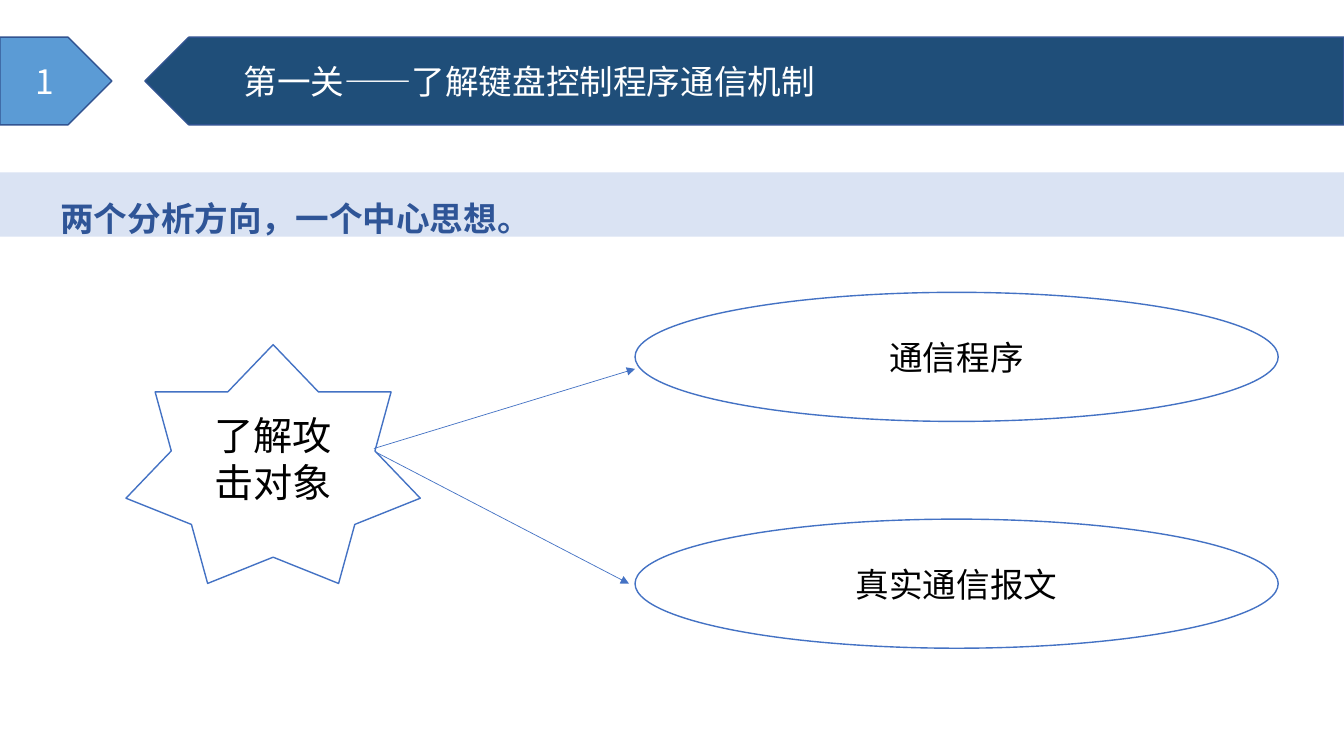
from lxml import etree
from pptx import Presentation
from pptx.dml.color import RGBColor
from pptx.enum.shapes import MSO_CONNECTOR, MSO_SHAPE
from pptx.enum.text import MSO_ANCHOR, MSO_AUTO_SIZE, PP_ALIGN
from pptx.oxml.ns import qn
from pptx.util import Pt

RECTANGLE, PENTAGON = MSO_SHAPE.RECTANGLE, MSO_SHAPE.PENTAGON
STAR, OVAL = MSO_SHAPE.STAR_7_POINT, MSO_SHAPE.OVAL
STRAIGHT = MSO_CONNECTOR.STRAIGHT
TOP, MIDDLE = MSO_ANCHOR.TOP, MSO_ANCHOR.MIDDLE
LEFT, CENTER = PP_ALIGN.LEFT, PP_ALIGN.CENTER
NO_AUTOFIT = MSO_AUTO_SIZE.NONE

FONT = "Noto Sans CJK SC"
TITLE_ONLY = 5
COLORS = {
    "white": "FFFFFF",
    "black": "000000",
    "band": "DAE3F3",
    "band_text": "2F5597",
    "badge": "5B9BD5",
    "banner": "1F4E79",
    "header_line": "325491",
    "diagram_line": "4472C4",
}
HEADER_TOP, HEADER_HEIGHT = 26.6, 62.6
TITLE_LEFT = 174
OVAL_LEFT, OVAL_TOP, OVAL_PITCH = 453.6, 208.8, 162
TOPICS = ["通信程序", "真实通信报文"]
ARROWS = [
    ((267.8, 322.6), (449.3, 416.9)),
    ((267.1, 320.4), (453.6, 263.5)),
]


def rgb(color):
    return RGBColor.from_string(COLORS[color])


def apply_format(target, values):
    for attribute, value in values.items():
        setattr(target, attribute, value)


def write_text(holder, text, color, size=24, bold=False, align=CENTER, anchor=MIDDLE):
    frame = holder.text_frame
    apply_format(frame, {"word_wrap": True, "vertical_anchor": anchor})
    paragraph = frame.paragraphs[0]
    paragraph.alignment = align
    run = paragraph.add_run()
    run.text = text
    apply_format(run.font, {"name": FONT, "size": Pt(size), "bold": bold})
    run.font.color.rgb = rgb(color)
    etree.SubElement(run._r.get_or_add_rPr(), qn("a:ea"), typeface=FONT)
    return paragraph


def add_panel(slide, kind, box, fill, line=None):
    panel = slide.shapes.add_shape(kind, *map(Pt, box))
    panel.shadow.inherit = False
    panel.fill.solid()
    panel.fill.fore_color.rgb = rgb(fill)
    if line:
        panel.line.color.rgb = rgb(line)
        panel.line.width = Pt(1)
    else:
        panel.line.fill.background()
    return panel


def add_arrow(slide, start, end):
    arrow = slide.shapes.add_connector(STRAIGHT, *map(Pt, start + end))
    arrow.line.color.rgb = rgb("diagram_line")
    arrow.line.width = Pt(0.5)
    etree.SubElement(arrow.line._get_or_add_ln(), qn("a:tailEnd"), type="triangle")
    etree.SubElement(arrow._element.spPr, qn("a:effectLst"))


def add_band(slide):
    band = add_panel(slide, RECTANGLE, (0, 123.1, 960, 46), "band")
    sentence = write_text(band, "两个分析方向，一个中心思想。", "band_text",
                          bold=True, align=LEFT, anchor=TOP)
    sentence.line_spacing = 1.5
    sentence._p.get_or_add_pPr().set("indent", str(Pt(36)))


def add_header(slide):
    badge = add_panel(slide, PENTAGON, (0, HEADER_TOP, 80, HEADER_HEIGHT),
                      "badge", "header_line")
    write_text(badge, "1", "white")
    banner = add_panel(slide, PENTAGON, (103.6, HEADER_TOP, 856.4, HEADER_HEIGHT),
                       "banner", "header_line")
    banner._element.spPr.get_or_add_xfrm().set("flipH", "1")

    title = slide.shapes.title
    apply_format(title, {
        "left": Pt(TITLE_LEFT),
        "top": Pt(HEADER_TOP),
        "width": Pt(960 - TITLE_LEFT),
        "height": Pt(HEADER_HEIGHT),
    })
    apply_format(title.text_frame, {"margin_left": 0, "auto_size": NO_AUTOFIT})
    write_text(title, "第一关——了解键盘控制程序通信机制", "white", align=LEFT)
    slide.shapes._spTree.append(title._element)


def add_diagram(slide):
    target = add_panel(slide, STAR, (90, 246.2, 210.2, 170.6), "white", "diagram_line")
    write_text(target, "了解攻击对象", "black", size=28)
    for start, end in ARROWS:
        add_arrow(slide, start, end)
    for row, topic in enumerate(TOPICS):
        box = (OVAL_LEFT, OVAL_TOP + row * OVAL_PITCH, 459.4, 92.2)
        write_text(add_panel(slide, OVAL, box, "white", "diagram_line"), topic, "black")


def main():
    deck = Presentation()
    apply_format(deck, {"slide_width": Pt(960), "slide_height": Pt(540)})
    slide = deck.slides.add_slide(deck.slide_layouts[TITLE_ONLY])
    add_band(slide)
    add_header(slide)
    add_diagram(slide)
    deck.save("out.pptx")


if __name__ == "__main__":
    main()
